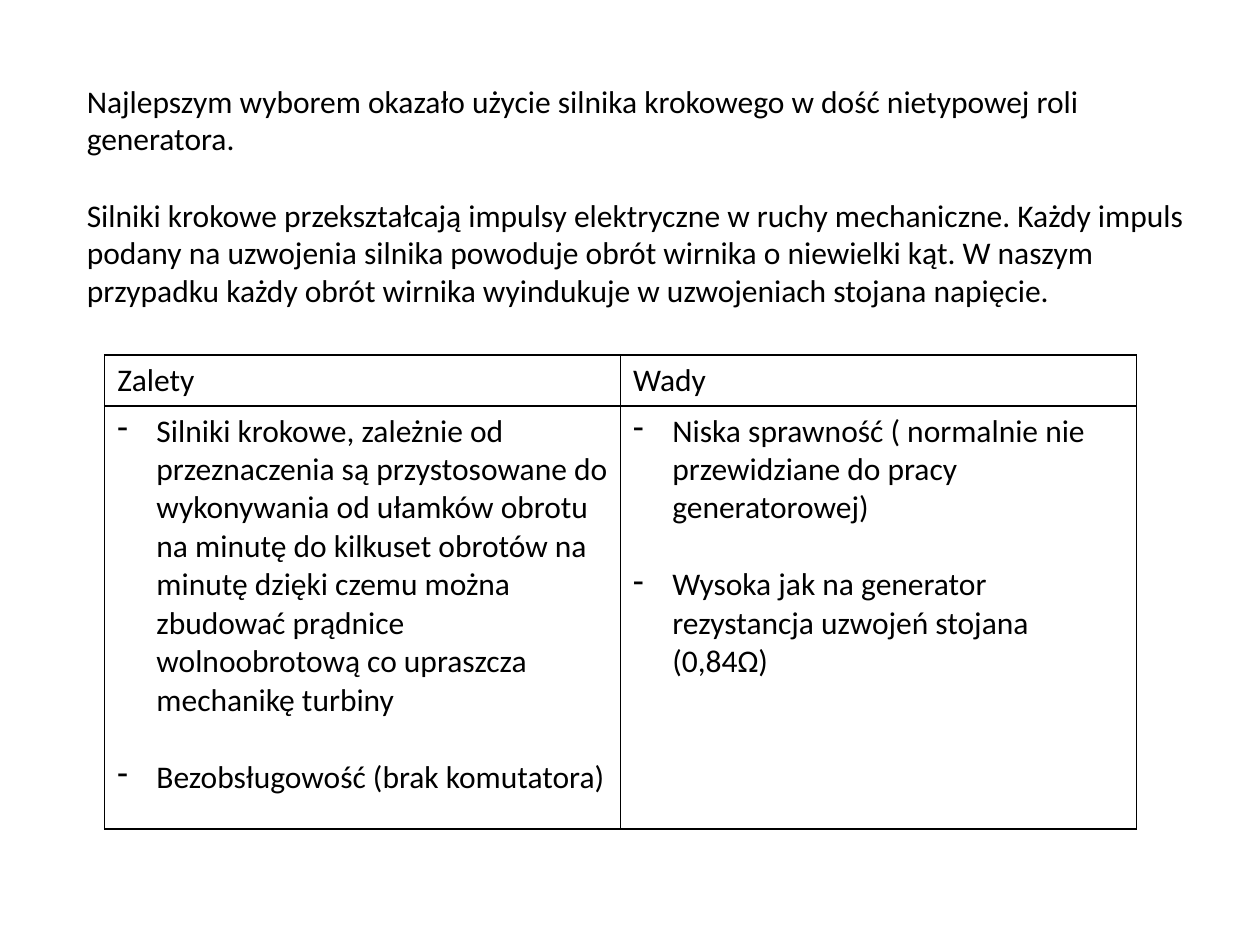
"""Build a slide on using a stepper motor as a generator, with its pros and cons."""
from lxml import etree
from pptx import Presentation
from pptx import util as u
from pptx.dml.color import RGBColor
from pptx.enum import text
from pptx.oxml import ns

BLACK = RGBColor(0x00, 0x00, 0x00)
INTRO = [
    "Najlepszym wyborem okazało użycie silnika krokowego w dość nietypowej roli generatora.",
    "Silniki krokowe przekształcają impulsy elektryczne w ruchy mechaniczne. "
    "Każdy impuls podany na uzwojenia silnika powoduje obrót wirnika o niewielki kąt. "
    "W naszym przypadku każdy obrót wirnika wyindukuje w uzwojeniach stojana napięcie.",
]
COLUMNS = {
    "Zalety": [
        "Silniki krokowe, zależnie od przeznaczenia są przystosowane do wykonywania "
        "od ułamków obrotu na minutę do kilkuset obrotów na minutę dzięki czemu można "
        "zbudować prądnice wolnoobrotową co upraszcza mechanikę turbiny",
        "Bezobsługowość (brak komutatora)",
    ],
    "Wady": [
        "Niska sprawność ( normalnie nie przewidziane do pracy generatorowej)",
        "Wysoka jak na generator rezystancja uzwojeń stojana (0,84Ω)",
    ],
}


def write(tf, lines, bullet=False):
    tf.text = "\n".join(lines)
    for i, p in enumerate(tf.paragraphs):
        p.alignment = text.PP_ALIGN.LEFT
        p.space_before = u.Pt(22 if i else 0)
        for r in p.runs:
            r.font.name = "Calibri"
            r.font.size = u.Pt(18)
            r.font.color.rgb = BLACK
        if bullet:
            pPr = p._p.get_or_add_pPr()
            pPr.set("marL", str(u.Cm(0.79)))
            pPr.set("indent", str(-u.Cm(0.79)))
            etree.SubElement(pPr, ns.qn("a:buChar"), char="-")


def add_borders(cell):
    tcPr = cell._tc.get_or_add_tcPr()
    for i, side in enumerate(("lnL", "lnR", "lnT", "lnB")):
        ln = etree.Element(ns.qn(f"a:{side}"), w=str(u.Pt(1)))
        fill = etree.SubElement(ln, ns.qn("a:solidFill"))
        etree.SubElement(fill, ns.qn("a:srgbClr"), val=str(BLACK))
        tcPr.insert(i, ln)


prs = Presentation()
prs.slide_width, prs.slide_height = u.Cm(25.4), u.Cm(19.05)
s = prs.slides.add_slide(prs.slide_layouts[6])

sp = s.shapes.add_textbox(u.Cm(1.5), u.Cm(1.52), u.Cm(23.19), u.Cm(5.64))
sp.text_frame.word_wrap = True
write(sp.text_frame, INTRO)

table = s.shapes.add_table(2, 2, u.Cm(2.11), u.Cm(7.16), u.Cm(20.8), u.Cm(9.55)).table
table.first_row = False
table.horz_banding = False
table.rows[0].height = u.Cm(1.02)
table.rows[1].height = u.Cm(8.53)

for col, (title, points) in enumerate(COLUMNS.items()):
    table.columns[col].width = u.Cm(10.4)
    write(table.cell(0, col).text_frame, [title])
    write(table.cell(1, col).text_frame, points, bullet=True)

for cell in table.iter_cells():
    cell.fill.background()
    add_borders(cell)

prs.save("out.pptx")
